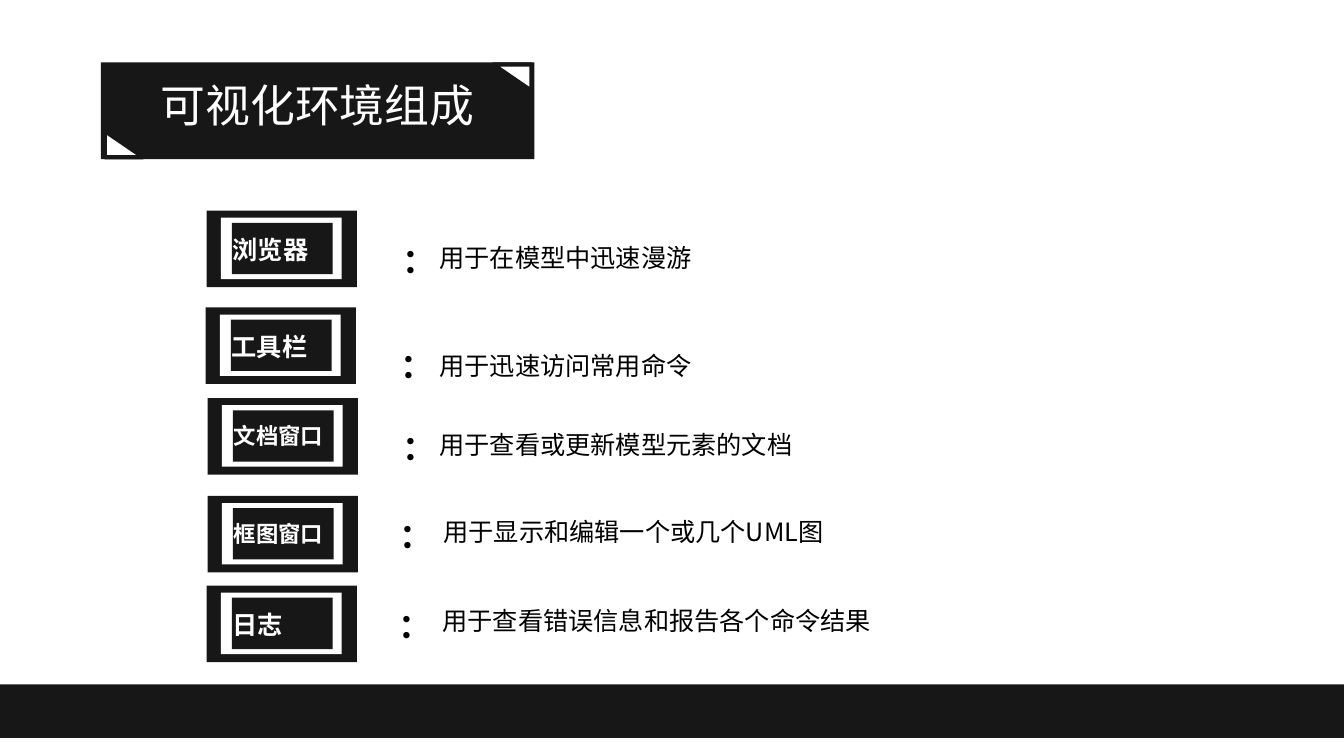
"""Build the slide on the parts of the visual environment."""
from dataclasses import dataclass

from lxml import etree
from pptx import Presentation
from pptx.dml.color import RGBColor
from pptx.enum.shapes import MSO_SHAPE
from pptx.enum.text import MSO_ANCHOR, MSO_AUTO_SIZE, PP_ALIGN
from pptx.oxml.ns import qn
from pptx.util import Inches, Pt

RECT, WEDGE = MSO_SHAPE.RECTANGLE, MSO_SHAPE.RIGHT_TRIANGLE
WEDGE = MSO_SHAPE.ISOSCELES_TRIANGLE
LEFT, MID, JUST = PP_ALIGN.LEFT, PP_ALIGN.CENTER, PP_ALIGN.JUSTIFY
TOP, GROW = MSO_ANCHOR.TOP, MSO_AUTO_SIZE.SHAPE_TO_FIT_TEXT


@dataclass(frozen=True)
class Theme:
    """Colours, font and type sizes."""
    dark: RGBColor = RGBColor(0x18, 0x17, 0x17)
    white: RGBColor = RGBColor(255, 255, 255)
    black: RGBColor = RGBColor(0, 0, 0)
    font: str = "Noto Sans CJK SC"
    title: int = 32
    colon: int = 24
    body: int = 18
    small: int = 16


theme = Theme()


def draw(home, kind, box, fill):
    """Add a plain filled shape without a line."""
    shape = home.add_shape(kind, *map(Inches, box))
    shape.shadow.inherit = False
    shape.fill.solid()
    shape.fill.fore_color.rgb = fill
    shape.line.fill.background()
    return shape


def write(shape, text, size, color, bold=False, align=LEFT, wrap=True):
    """Set and format the text of a shape."""
    frame = shape.text_frame
    frame.text = text
    frame.word_wrap = wrap
    frame.auto_size = GROW
    frame.vertical_anchor = TOP
    para = frame.paragraphs[0]
    para.alignment = align
    run = para.runs[0]
    font = run.font
    font.size, font.bold, font.name = Pt(size), bold, theme.font
    font.color.rgb = color
    props = run._r.get_or_add_rPr()
    etree.SubElement(props, qn("a:ea")).set("typeface", theme.font)
    return para


deck = Presentation()
deck.slide_width, deck.slide_height = Inches(13.33), Inches(7.5)
slide = deck.slides.add_slide(deck.slide_layouts[5])
shapes = slide.shapes

banner = shapes.add_group_shape().shapes
draw(banner, RECT, (1, 0.62, 4.3, 0.96), theme.dark)
for left, top, turn in ((1.04, 1.3, 0), (4.89, 0.64, 180)):
    wedge = draw(banner, WEDGE, (left, top, 0.38, 0.26), theme.white)
    wedge.adjustments[0] = 0
    wedge.rotation = turn
    wedge.line.color.rgb = theme.dark
    wedge.line.width = Pt(3)

title = shapes.title
title.left, title.top = Inches(1.3), Inches(0.72)
title.width, title.height = Inches(3.7), Inches(0.64)
write(title, "可视化环境组成", theme.title, theme.white, align=MID)
shapes.element.append(title.element)

draw(shapes, RECT, (0, 6.79, 13.33, 0.53), theme.dark)

rows = (
    ("浏览器", theme.body, (2.05, 2.09), (3.89, 2.21), (4.26, 2.35),
     "用于在模型中迅速漫游"),
    ("工具栏", theme.body, (2.04, 3.05), (3.87, 3.25), (4.26, 3.43),
     "用于迅速访问常用命令"),
    ("文档窗口", theme.small, (2.06, 3.95), (3.89, 4.07), (4.26, 4.21),
     "用于查看或更新模型元素的文档"),
    ("框图窗口", theme.small, (2.06, 4.92), (3.86, 4.94), (4.3, 5.07),
     "用于显示和编辑一个或几个UML图"),
    ("日志", theme.body, (2.05, 5.81), (3.85, 5.83), (4.29, 5.96),
     "用于查看错误信息和报告各个命令结果"),
)
layers = (
    (0, 0, 1.49, 0.76, theme.dark),
    (0.14, 0.07, 1.2, 0.61, theme.white),
    (0.25, 0.12, 1, 0.51, theme.dark),
)
for name, size, (left, top), dots, spot, note in rows:
    badge = shapes.add_group_shape().shapes
    for dx, dy, wide, high, fill in layers:
        draw(badge, RECT, (left + dx, top + dy, wide, high), fill)
    label = badge.add_textbox(
        *map(Inches, (left + 0.16, top + 0.19, 1.14, 0.4)))
    write(label, name, size, theme.white, bold=True)

    colon = shapes.add_textbox(*map(Inches, (*dots, 0.54, 0.57)))
    para = write(colon, "：", theme.colon, theme.black, True, JUST, False)
    para.line_spacing = 1.3

    use = shapes.add_textbox(*map(Inches, (*spot, 4.54, 0.4)))
    write(use, note, theme.body, theme.black)

deck.save("out.pptx")
